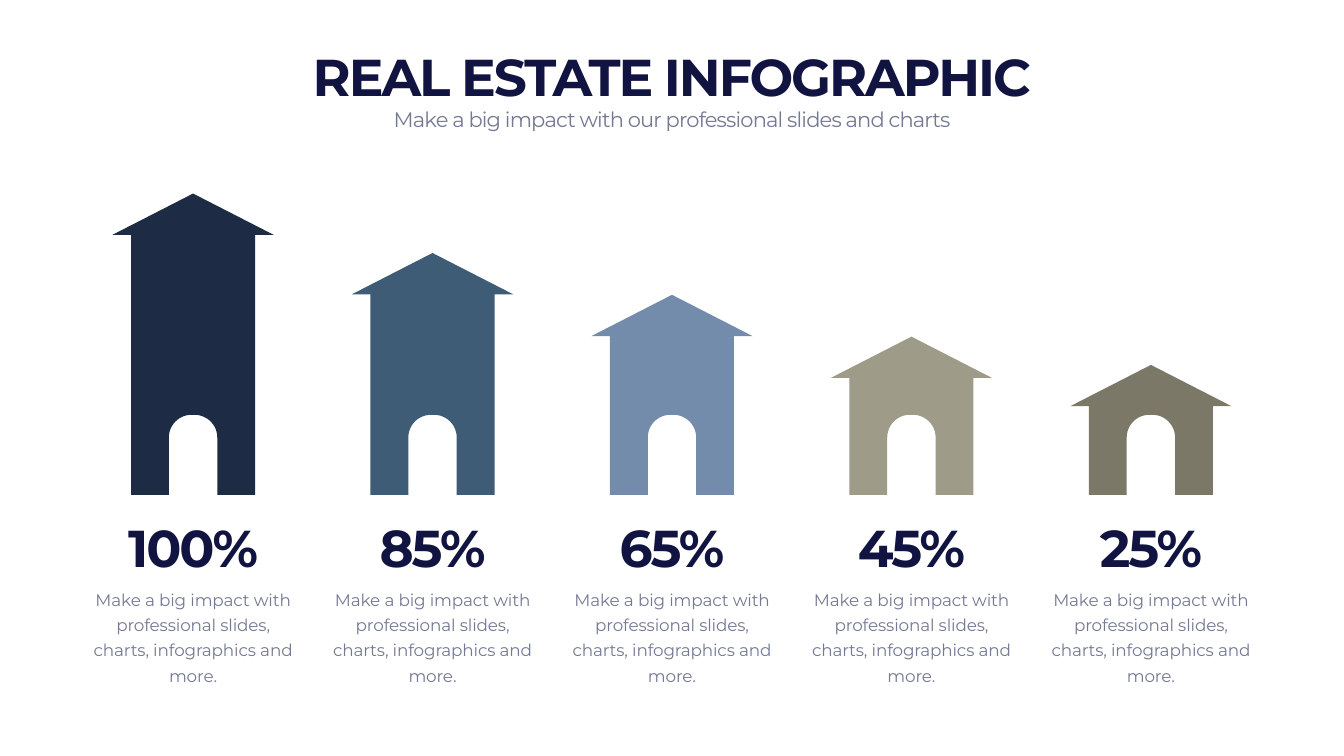
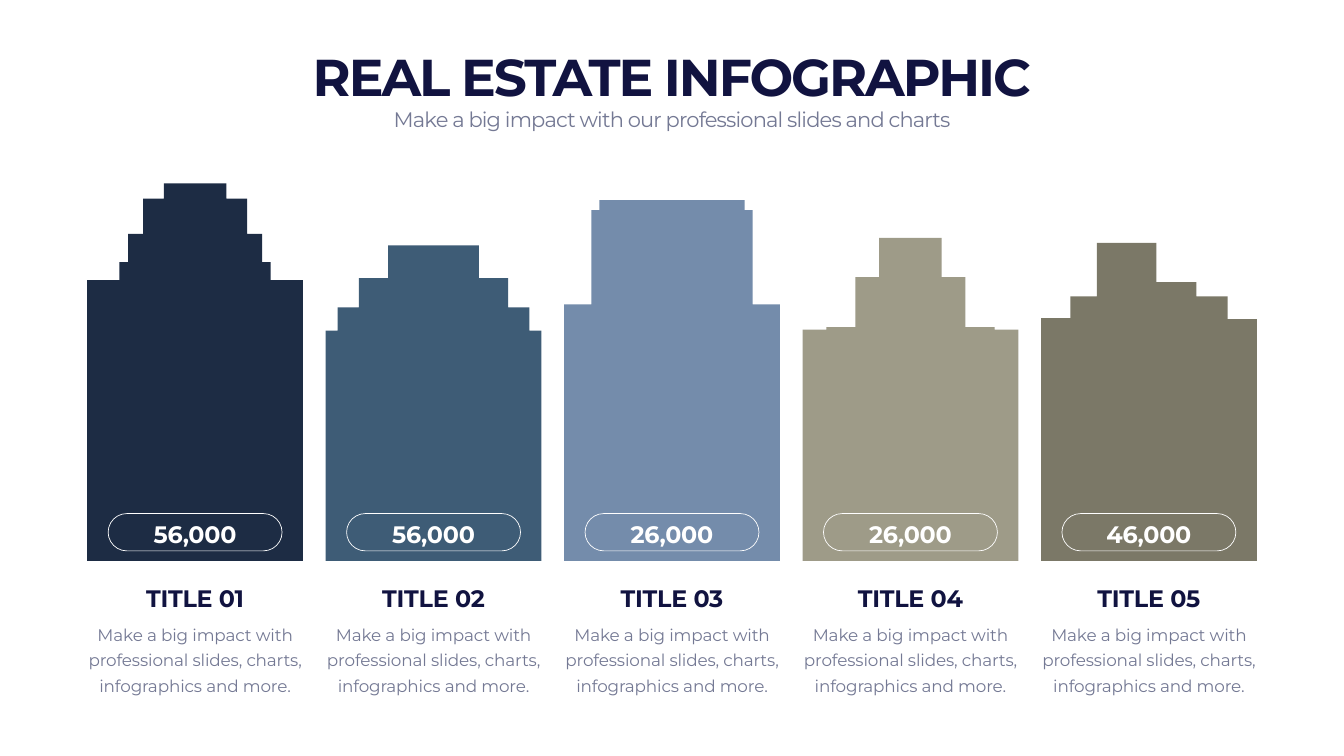
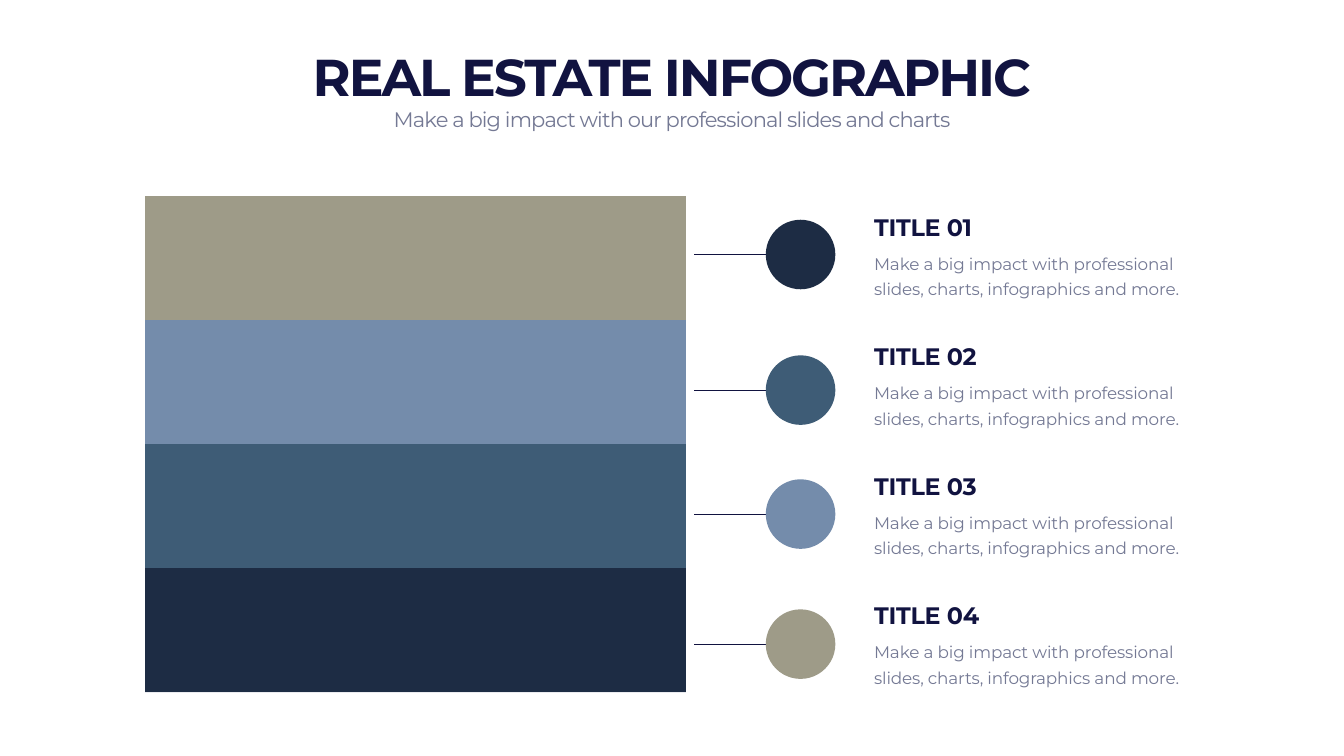
from math import cos, pi, sin

from lxml.etree import SubElement
from pptx import Presentation
from pptx.chart.data import CategoryChartData
from pptx.dml.color import RGBColor
from pptx.enum.chart import XL_CHART_TYPE as ChartType
from pptx.enum.shapes import MSO_CONNECTOR as Connector, MSO_SHAPE as Shape
from pptx.enum.text import MSO_ANCHOR as Anchor, MSO_AUTO_SIZE as AutoSize, PP_ALIGN as Align
from pptx.oxml.ns import qn
from pptx.util import Inches, Pt

NAVY = RGBColor(0x1D, 0x2C, 0x44)
TEAL = RGBColor(0x3E, 0x5C, 0x76)
BLUE = RGBColor(0x74, 0x8C, 0xAB)
SAND = RGBColor(0x9E, 0x9B, 0x88)
OLIVE = RGBColor(0x7B, 0x78, 0x67)
INK = RGBColor(0x11, 0x13, 0x40)
GREY = RGBColor(0x74, 0x79, 0x94)
GRID = RGBColor(0xEA, 0xEB, 0xEF)
WHITE = RGBColor(0xFF, 0xFF, 0xFF)
PALETTE = [NAVY, TEAL, BLUE, SAND, OLIVE]
FONT = "Montserrat"

HEADLINE = "REAL ESTATE INFOGRAPHIC"
TAGLINE = "Make a big impact with our professional slides and charts"
BLURB = "Make a big impact with professional slides, charts, infographics and more."

HOUSES = [("100%", 3.84), ("85%", 5.02), ("65%", 5.85), ("45%", 6.68), ("25%", 7.24)]

TOWERS = [
    ("TITLE 01", "56,000", [(0, 5.56), (0.64, 5.2), (0.81, 4.64), (1.11, 3.94), (1.52, 3.64)], None),
    ("TITLE 02", "56,000", [(0, 6.56), (0.24, 6.1), (0.66, 5.52), (1.24, 4.87)], None),
    ("TITLE 03", "26,000", [(0, 6.04), (0.54, 4.17), (0.7, 3.97)], None),
    ("TITLE 04", "26,000", [(0, 6.54), (0.47, 6.49), (1.05, 5.5), (1.52, 4.72)], None),
    ("TITLE 05", "46,000", [(0, 6.31), (0.58, 5.88), (1.11, 4.82)],
     [(0, 6.33), (0.58, 5.88), (1.2, 5.6), (1.99, 4.82)]),
]

LAYERS = [("TITLE 01", 25, 5.05), ("TITLE 02", 25, 7.74), ("TITLE 03", 25, 10.2), ("TITLE 04", 25, 12.78)]

STYLES = {
    "headline": ({"size": Pt(74), "bold": True}, INK, -290, Anchor.BOTTOM, {}),
    "tagline": ({"size": Pt(30)}, GREY, -120, Anchor.TOP, {}),
    "title": ({"size": Pt(34), "bold": True}, INK, -30, Anchor.BOTTOM, {}),
    "value": ({"size": Pt(34), "bold": True}, WHITE, -30, Anchor.MIDDLE, {}),
    "blurb": ({"size": Pt(24)}, GREY, -20, Anchor.TOP, {"line_spacing": Pt(36)}),
}

SLIDE_W, SLIDE_H = 26.66, 15
MIDDLE = SLIDE_W / 2

deck = Presentation()
deck.slide_width, deck.slide_height = Inches(SLIDE_W), Inches(SLIDE_H)


def apply(target, values):
    for key, value in values.items():
        setattr(target, key, value)


def write(slide, text, style, left, top, width, height, align=Align.CENTER):
    font, color, tracking, anchor, spacing = STYLES[style]
    box = slide.shapes.add_textbox(*map(Inches, (left, top, width, height)))
    apply(box.text_frame, {"word_wrap": True, "vertical_anchor": anchor,
                           "auto_size": AutoSize.SHAPE_TO_FIT_TEXT})
    paragraph = box.text_frame.paragraphs[0]
    apply(paragraph, {"alignment": align, **spacing})
    run = paragraph.add_run()
    run.text = text
    apply(run.font, {"name": FONT, **font})
    run.font.color.rgb = color
    run._r.get_or_add_rPr().set("spc", str(tracking))


def write_centred(slide, text, style, center, top, width, height):
    write(slide, text, style, center - width / 2, top, width, height)


def paint(shape, color):
    shape.shadow.inherit = False
    shape.fill.solid()
    shape.fill.fore_color.rgb = color
    shape.line.fill.background()


def draw_outline(slide, points, color):
    start, *rest = [(Inches(x), Inches(y)) for x, y in points]
    builder = slide.shapes.build_freeform(*start)
    builder.add_line_segments(rest, close=True)
    paint(builder.convert_to_shape(), color)


def start_slide():
    slide = deck.slides.add_slide(deck.slide_layouts[6])
    write_centred(slide, HEADLINE, "headline", MIDDLE, 0.82, 23.33, 1.35)
    write_centred(slide, TAGLINE, "tagline", MIDDLE, 2.07, 23.33, 0.61)
    return slide


def column_centers(count, step):
    return [MIDDLE + (i - (count - 1) / 2) * step for i in range(count)]


def house_points(center, apex):
    ground, spring, radius, flat = 9.82, 8.68, 0.45, 0.03
    eaves = apex + 0.82
    quarter = [i * pi / 24 for i in range(13)]
    right = [(1.6, eaves), (1.23, eaves), (1.23, ground), (flat + radius, ground)]
    right += [(flat + radius * cos(a), spring - radius * sin(a)) for a in quarter]
    left = [(-x, y) for x, y in reversed(right)]
    return [(center + x, y) for x, y in [(0, apex)] + right + left]


def stair(steps, ground):
    points, height = [], ground
    for inset, top in steps:
        points += [(inset, height), (inset, top)]
        height = top
    return points


def tower_points(center, width, left_steps, right_steps):
    left_edge, right_edge = center - width / 2, center + width / 2
    left = [(left_edge + x, y) for x, y in stair(left_steps, 11.13)]
    right = [(right_edge - x, y) for x, y in stair(right_steps or left_steps, 11.13)]
    return left + right[::-1]


def build_houses():
    slide = start_slide()
    for (share, apex), center, color in zip(HOUSES, column_centers(len(HOUSES), 4.75), PALETTE):
        draw_outline(slide, house_points(center, apex), color)
        write_centred(slide, BLURB, "blurb", center, 11.55, 4.19, 2.1)
        write_centred(slide, share, "headline", center, 10.17, 4.19, 1.35)


def build_towers():
    slide = start_slide()
    pill_w = 3.45
    centers = column_centers(len(TOWERS), 4.73)
    for (title, value, left, right), center, color in zip(TOWERS, centers, PALETTE):
        draw_outline(slide, tower_points(center, 4.28, left, right), color)
        pill = slide.shapes.add_shape(Shape.ROUNDED_RECTANGLE, *map(
            Inches, (center - pill_w / 2, 10.19, pill_w, 0.74)))
        pill.adjustments[0] = 0.5
        pill.shadow.inherit = False
        pill.fill.background()
        pill.line.color.rgb = WHITE
        pill.line.width = Pt(1)
        write_centred(slide, title, "title", center, 11.53, 4.51, 0.67)
        write_centred(slide, BLURB, "blurb", center, 12.25, 4.51, 1.59)
        write_centred(slide, value, "value", center, 10.26, 2.92, 0.67)


def add_stack(slide):
    data = CategoryChartData()
    data.categories = ["1"]
    for number, (_, share, _) in enumerate(LAYERS, 1):
        data.add_series(f"Series {number}", [share])
    chart = slide.shapes.add_chart(ChartType.COLUMN_STACKED_100, *map(
        Inches, (2.87, 3.89, 10.74, 9.85)), data).chart
    apply(chart, {"has_legend": False, "has_title": False})
    apply(chart.font, {"name": FONT, "size": Pt(34), "bold": True})
    chart.font.color.rgb = WHITE
    chart.category_axis.visible = False
    apply(chart.value_axis, {"visible": False, "has_major_gridlines": True})
    grid = chart.value_axis.major_gridlines.format.line
    grid.color.rgb = GRID
    grid.width = Pt(0.75)
    plot = chart.plots[0]
    apply(plot, {"gap_width": 0, "overlap": 100, "vary_by_categories": False})
    for series, color in zip(plot.series, PALETTE):
        series.format.fill.solid()
        series.format.fill.fore_color.rgb = color
    area = chart._chartSpace.chart.plotArea
    layout = area.find(qn("c:layout"))
    if layout is None:
        layout = SubElement(area, qn("c:layout"))
        area.insert(0, layout)
    manual = SubElement(layout, qn("c:manualLayout"))
    for tag, value in [("layoutTarget", "inner"), ("xMode", "edge"), ("yMode", "edge"),
                       ("x", "0"), ("y", "0"), ("w", "1"), ("h", "1")]:
        SubElement(manual, qn(f"c:{tag}")).set("val", value)


def build_layers():
    slide = start_slide()
    add_stack(slide)
    dot = 1.38
    for i, ((title, _, level), color) in enumerate(zip(LAYERS, PALETTE)):
        leader = slide.shapes.add_connector(Connector.STRAIGHT, *map(
            Inches, (13.77, level, 16.25, level)))
        leader.line.color.rgb = INK
        leader.line.width = Pt(1)
        SubElement(leader._element.spPr, qn("a:effectLst"))
        paint(slide.shapes.add_shape(Shape.OVAL, *map(
            Inches, (15.19, level - dot / 2, dot, dot))), color)
        top = 4.16 + i * 2.57
        write(slide, title, "title", 17.24, top, 6.4, 0.67, Align.LEFT)
        write(slide, BLURB, "blurb", 17.24, top + 0.72, 6.4, 1.09, Align.LEFT)


build_houses()
build_towers()
build_layers()
deck.save("out.pptx")
